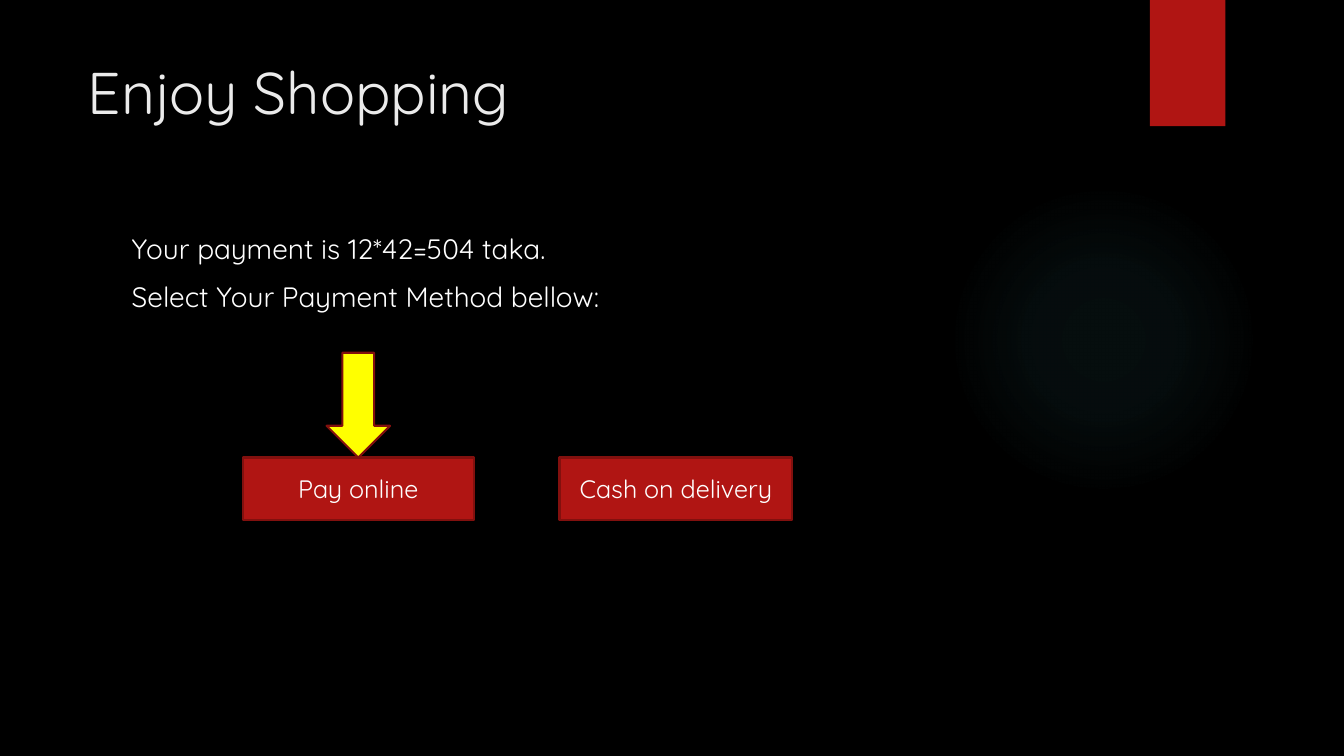
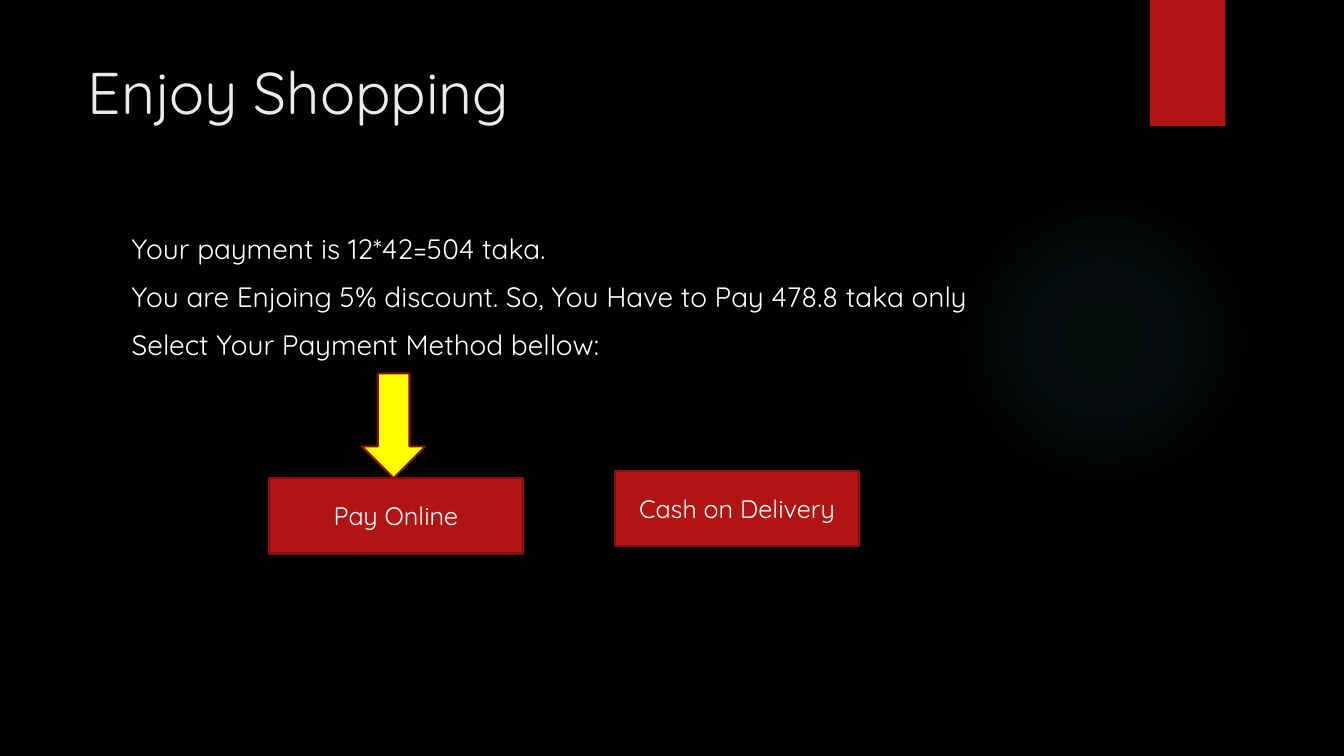
from dataclasses import dataclass

from pptx import Presentation
from pptx.dml.color import RGBColor
from pptx.enum.shapes import MSO_SHAPE
from pptx.enum.text import MSO_ANCHOR, MSO_AUTO_SIZE, PP_ALIGN
from pptx.oxml import parse_xml
from pptx.oxml.ns import nsdecls, qn
from pptx.util import Cm, Pt


@dataclass(frozen=True)
class Theme:
    font: str = "Quicksand"
    background: str = "000000"
    title: str = "EBEBEB"
    text: str = "FFFFFF"
    accent: str = "B01513"
    outline: str = "82100E"
    arrow: str = "FFFF00"
    glow: str = "50B9C1"
    title_size: int = 42
    body_size: int = 20
    button_size: int = 18
    line_width: float = 1.5
    body_gap: int = 10


class ShopDeck:
    ARROW_WIDTH = 1.6
    ARROW_HEIGHT = 2.64

    def __init__(self, theme):
        self.theme = theme
        self.deck = Presentation()
        self.deck.slide_width = Cm(33.87)
        self.deck.slide_height = Cm(19.05)
        fill = self.deck.slide_master.background.fill
        fill.solid()
        fill.fore_color.rgb = RGBColor.from_string(theme.background)
        self.page = None

    def add_page(self, title):
        layout = self.deck.slide_layouts.get_by_name("Title Only")
        self.page = self.deck.slides.add_slide(layout)
        self.add_glow()
        self.add_band()
        self.add_title(title)

    def add_shape(self, kind, left, top, width, height, color, outlined=True):
        box = self.page.shapes.add_shape(kind, Cm(left), Cm(top), Cm(width), Cm(height))
        box.shadow.inherit = False
        box.fill.solid()
        box.fill.fore_color.rgb = RGBColor.from_string(color)
        if outlined:
            box.line.color.rgb = RGBColor.from_string(self.theme.outline)
            box.line.width = Pt(self.theme.line_width)
        else:
            box.line.fill.background()
        return box

    def format_text(self, frame, size, color, align=PP_ALIGN.LEFT, gap=0):
        for para in frame.paragraphs:
            para.alignment = align
            para.space_before = Pt(gap)
            for span in para.runs:
                span.font.name = self.theme.font
                span.font.size = Pt(size)
                span.font.color.rgb = RGBColor.from_string(color)

    def add_glow(self):
        color = self.theme.glow
        glow = self.add_shape(MSO_SHAPE.OVAL, 23.9, 4.65, 7.82, 7.82, color, False)
        stops = "".join(
            f'<a:gs pos="{position * 1000}"><a:srgbClr val="{color}">'
            f'<a:alpha val="{opacity * 1000}"/></a:srgbClr></a:gs>'
            for position, opacity in ((0, 7), (36, 6), (69, 0), (100, 0))
        )
        gradient = parse_xml(
            f'<a:gradFill {nsdecls("a")} rotWithShape="1"><a:gsLst>{stops}</a:gsLst>'
            '<a:path path="circle"><a:fillToRect l="50000" t="50000" '
            'r="50000" b="50000"/></a:path></a:gradFill>'
        )
        properties = glow.element.spPr
        properties.replace(properties.find(qn("a:solidFill")), gradient)

    def add_band(self):
        band = self.add_shape(
            MSO_SHAPE.RECTANGLE, 28.98, 0, 1.9, 3.18, self.theme.accent, False
        )
        band.element.spPr.find(qn("a:effectLst")).append(
            parse_xml(
                f'<a:outerShdw {nsdecls("a")} blurRad="{Pt(3)}" dist="{Pt(2)}" '
                'dir="5400000" rotWithShape="0"><a:srgbClr val="000000">'
                '<a:alpha val="45000"/></a:srgbClr></a:outerShdw>'
            )
        )

    def add_title(self, text):
        title = self.page.shapes.title
        title.left, title.top = Cm(1.96), Cm(1.27)
        title.width, title.height = Cm(25.96), Cm(2.54)
        frame = title.text_frame
        frame.text = text
        frame.auto_size = MSO_AUTO_SIZE.NONE
        frame.vertical_anchor = MSO_ANCHOR.TOP
        self.format_text(frame, self.theme.title_size, self.theme.title)

    def add_body(self, lines):
        box = self.page.shapes.add_textbox(Cm(3.07), Cm(5.72), Cm(24.84), Cm(11.66))
        frame = box.text_frame
        frame.word_wrap = True
        frame.text = "\n".join(lines)
        self.format_text(
            frame, self.theme.body_size, self.theme.text, gap=self.theme.body_gap
        )

    def add_arrow(self, left, tip):
        self.add_shape(
            MSO_SHAPE.DOWN_ARROW, left, tip - self.ARROW_HEIGHT,
            self.ARROW_WIDTH, self.ARROW_HEIGHT, self.theme.arrow,
        )

    def add_button(self, text, left, top, width, height):
        button = self.add_shape(
            MSO_SHAPE.RECTANGLE, left, top, width, height, self.theme.accent
        )
        frame = button.text_frame
        frame.text = text
        frame.vertical_anchor = MSO_ANCHOR.MIDDLE
        self.format_text(
            frame, self.theme.button_size, self.theme.text, PP_ALIGN.CENTER
        )


def main():
    payment = "Your payment is 12*42=504 taka."
    discount = "You are Enjoing 5% discount. So, You Have to Pay 478.8 taka only"
    prompt = "Select Your Payment Method bellow:"
    pages = (
        (
            (payment, prompt),
            8.23,
            (
                ("Pay online", 6.12, 11.53, 5.82, 1.57),
                ("Cash on delivery", 14.1, 11.53, 5.87, 1.57),
            ),
        ),
        (
            (payment, discount, prompt),
            9.12,
            (
                ("Pay Online", 6.78, 12.05, 6.4, 1.9),
                ("Cash on Delivery", 15.49, 11.86, 6.17, 1.9),
            ),
        ),
    )
    shop = ShopDeck(Theme())
    for lines, arrow_left, buttons in pages:
        shop.add_page("Enjoy Shopping")
        shop.add_body(lines)
        shop.add_arrow(arrow_left, tip=buttons[0][2])
        for button in buttons:
            shop.add_button(*button)
    shop.deck.save("out.pptx")


if __name__ == "__main__":
    main()
